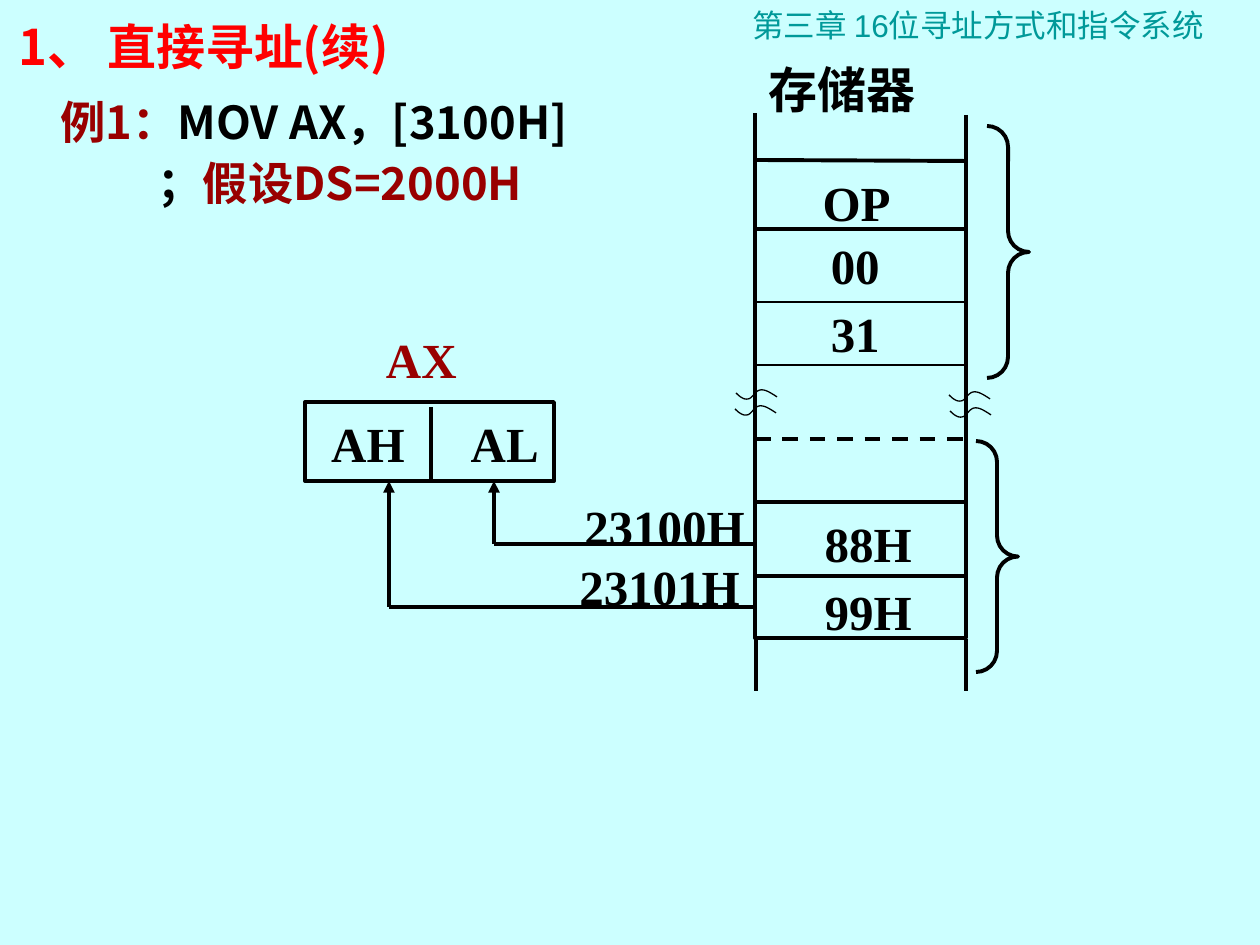
import pptx
import pptx.util
import pptx.dml.color
import pptx.enum.dml
import pptx.enum.shapes
import pptx.enum.text
from pptx.oxml.ns import qn
from lxml import etree

SCALE = 914400 / 126  # EMU per px
THEME = {
    "bg": "CCFFFF", "ink": "000000", "header": "009999",
    "title": "FF0000", "accent": "990000",
    "latin": "Times New Roman", "sans": "Arial", "cjk": "Noto Sans CJK SC",
    "big": 28, "body": 25.9, "small": 18, "thick": 2.25, "thin": 0.75,
}
rgb = pptx.dml.color.RGBColor.from_string
ALIGN = pptx.enum.text.PP_ALIGN


def px(*values):
    return [round(v * SCALE) for v in values]


def add_text(box, paragraphs, size, font, align=ALIGN.LEFT):
    """Each paragraph is a list of (text, colour) runs."""
    tf = s.shapes.add_textbox(*px(*box)).text_frame
    tf.word_wrap = True
    for i, runs in enumerate(paragraphs):
        p = tf.add_paragraph() if i else tf.paragraphs[0]
        p.alignment = align
        for text, colour in runs:
            r = p.add_run()
            r.text = text
            r.font.size = pptx.util.Pt(size)
            r.font.name = font
            r.font.bold = font != THEME["sans"]
            r.font.color.rgb = rgb(THEME[colour])
            ea = etree.SubElement(r._r.get_or_add_rPr(), qn("a:ea"))
            ea.set("typeface", THEME["cjk"])
    return tf


prs = pptx.Presentation()
prs.slide_width, prs.slide_height = px(1260, 945)
s = prs.slides.add_slide(prs.slide_layouts[6])
s.background.fill.solid()
s.background.fill.fore_color.rgb = rgb(THEME["bg"])

# Chapter header and title
add_text((740, 0, 506, 50), [[("第三章 16位寻址方式和指令系统", "header")]],
         THEME["small"], THEME["sans"])
add_text((6, 10, 1020, 84), [[("1、 直接寻址(续)", "title")]],
         THEME["big"], THEME["cjk"])

# Example instruction
tf = add_text((48, 94, 692, 136),
              [[("例1：", "accent"), ("MOV AX，[3100H]", "ink")],
               [("；", "ink"), ("假设DS=2000H", "accent")]],
              THEME["body"], THEME["cjk"])
for p in tf.paragraphs:
    p.line_spacing = 0.9
tf.paragraphs[1].space_before = pptx.util.Pt(7)
tf.paragraphs[1]._p.get_or_add_pPr().set("marL", str(px(97)[0]))

# Outlined shapes: register, code cells, data cells, braces
RECT = pptx.enum.shapes.MSO_SHAPE.RECTANGLE
BRACE = pptx.enum.shapes.MSO_SHAPE.RIGHT_BRACE
LEFT, RIGHT = 755, 966
outlines = []
for kind, x, y, w, h in [
    (RECT, 305, 402, 249, 79),
    (RECT, LEFT, 229, RIGHT - LEFT, 273),
    (RECT, LEFT, 502, RIGHT - LEFT, 136),
    (BRACE, 987, 126, 42, 252),
    (BRACE, 976, 441, 42, 231),
]:
    sp = s.shapes.add_shape(kind, *px(x, y, w, h))
    if kind == BRACE:
        sp.adjustments[0] = 0.5
    outlines.append((sp, "thick"))

# Break marks on both memory edges, drawn from two Bezier arcs
WAVE = [[(0, 0), (4, 4), (8, 7), (12, 6)],
        [(12, 6), (16, 6), (19, -2), (24, -3)],
        [(24, -3), (29, -4), (35, 0), (41, 4)]]
STEPS = 8
for x, y in [(736, 393), (735, 409), (949, 395), (950, 411)]:
    points = []
    for a, b, c, d in WAVE:
        for i in range(1, STEPS + 1):
            t = i / STEPS
            u = 1 - t
            points.append(px(*(
                o + u**3 * a[k] + 3 * u * u * t * b[k] + 3 * u * t * t * c[k] + t**3 * d[k]
                for k, o in enumerate((x, y)))))
    builder = s.shapes.build_freeform(*px(x, y))
    builder.add_line_segments(points, close=False)
    outlines.append((builder.convert_to_shape(), "thin"))

for sp, weight in outlines:
    sp.shadow.inherit = False
    sp.fill.background()
    sp.line.color.rgb = rgb(THEME["ink"])
    sp.line.width = pptx.util.Pt(THEME[weight])

# Straight lines: ends, weight, style
for ends, weight, style in [
    ((LEFT, 229, LEFT, 113), "thick", None),        # memory edges, top
    ((RIGHT, 115, RIGHT, 234), "thick", None),
    ((756, 639, 756, 691), "thick", None),          # memory edges, bottom
    ((RIGHT, 639, RIGHT, 691), "thick", None),
    ((LEFT, 160, RIGHT, 161), "thick", None),       # cell borders
    ((LEFT, 302, RIGHT, 302), "thin", None),
    ((LEFT, 365, RIGHT, 365), "thin", None),
    ((LEFT, 439, RIGHT, 439), "thick", "dash"),
    ((LEFT, 576, RIGHT, 576), "thick", None),
    ((431, 407, 431, 481), "thick", None),          # AH | AL divider
    ((494, 544, LEFT, 544), "thick", None),         # data into AL
    ((494, 544, 494, 481), "thick", "arrow"),
    ((389, 607, LEFT, 607), "thick", None),         # data into AH
    ((389, 607, 389, 481), "thick", "arrow"),
]:
    cn = s.shapes.add_connector(pptx.enum.shapes.MSO_CONNECTOR.STRAIGHT, *px(*ends))
    cn.line.color.rgb = rgb(THEME["ink"])
    cn.line.width = pptx.util.Pt(THEME[weight])
    if style == "dash":
        cn.line.dash_style = pptx.enum.dml.MSO_LINE.DASH
    if style == "arrow":
        etree.SubElement(cn.line._get_or_add_ln(), qn("a:tailEnd")).set("type", "triangle")
    etree.SubElement(cn._element.spPr, qn("a:effectLst"))

# Labels
add_text((756, 53, 220, 72), [[("存储器", "ink")]], THEME["big"], THEME["latin"])
for text, x, y, w, colour in [
    ("OP", 792, 166, 111, "ink"),
    ("00", 788, 229, 104, "ink"),
    ("31", 798, 297, 94, "ink"),
    ("88H", 798, 507, 126, "ink"),
    ("99H", 798, 575, 126, "ink"),
    ("AX", 346, 323, 123, "accent"),
    ("AH", 315, 407, 102, "ink"),
    ("AL", 438, 407, 113, "ink"),
    ("23100H", 551, 490, 206, "ink"),
    ("23101H", 546, 550, 206, "ink"),
]:
    add_text((x, y, w, 72), [[(text, colour)]], THEME["big"], THEME["latin"], ALIGN.RIGHT)

prs.save("out.pptx")
